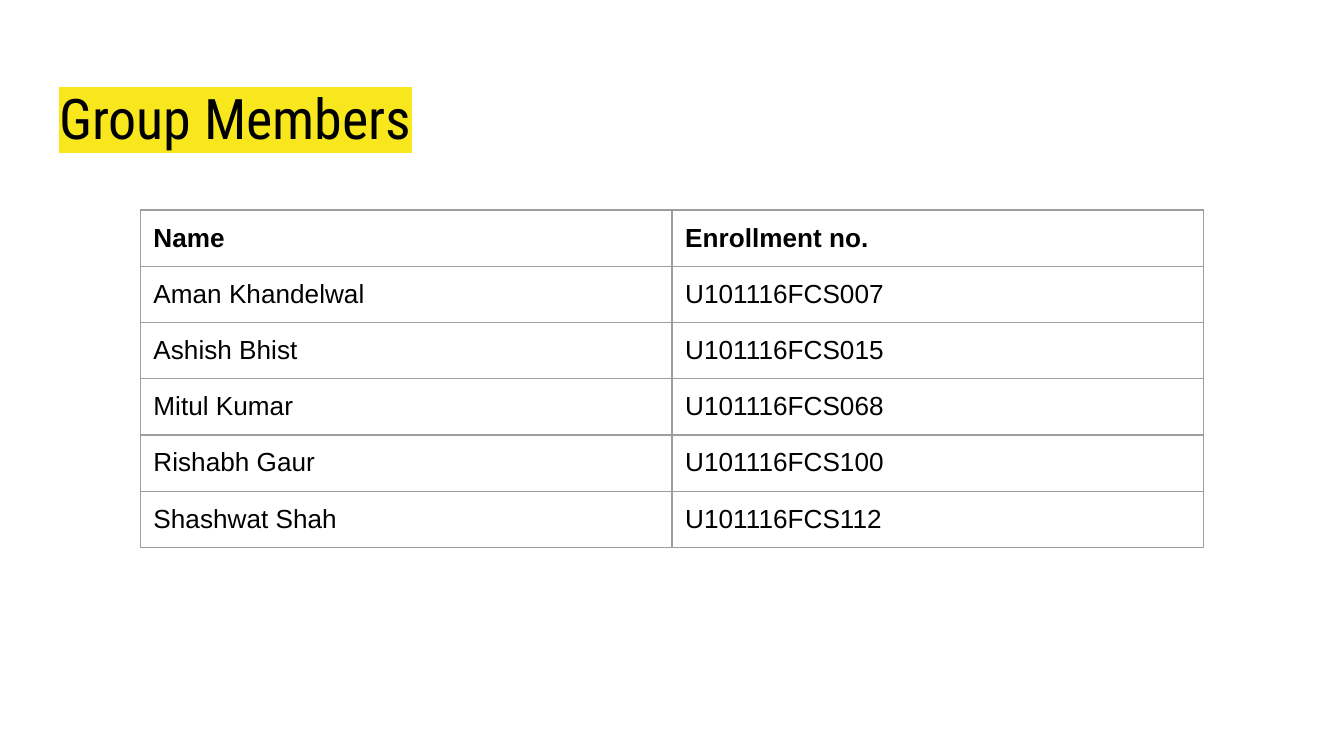
from lxml import etree
from pptx import Presentation
from pptx import util as u
from pptx.dml.color import RGBColor
from pptx.enum import text
from pptx.oxml.ns import qn

MEMBERS = [
    ("Name", "Enrollment no."),
    ("Aman Khandelwal", "U101116FCS007"),
    ("Ashish Bhist", "U101116FCS015"),
    ("Mitul Kumar", "U101116FCS068"),
    ("Rishabh Gaur", "U101116FCS100"),
    ("Shashwat Shah", "U101116FCS112"),
]


def rgb(value):
    """Turn a hex string into a colour."""
    return RGBColor.from_string(value)


def format_run(r, font, size, bold=False):
    """Set the font, size, weight and black colour of a run."""
    r.font.name, r.font.size, r.font.bold = font, u.Pt(size), bold
    r.font.color.rgb = rgb("000000")


def highlight(r, color):
    """Put a marker colour behind a coloured run."""
    fill = r.font._element.find(qn("a:solidFill"))
    mark = etree.Element(qn("a:highlight"))
    etree.SubElement(mark, qn("a:srgbClr"), val=str(rgb(color)))
    fill.addnext(mark)


def set_borders(cell, color, width):
    """Draw a solid line on all four sides of a cell."""
    tcPr = cell._tc.get_or_add_tcPr()
    for i, side in enumerate(("lnL", "lnR", "lnT", "lnB")):
        ln = etree.Element(qn(f"a:{side}"), w=str(u.Pt(width)))
        fill = etree.SubElement(ln, qn("a:solidFill"))
        etree.SubElement(fill, qn("a:srgbClr"), val=str(rgb(color)))
        tcPr.insert(i, ln)


def add_title(s, title, x, y, w, h):
    """Place the highlighted slide title in the given box."""
    sp = s.shapes.title
    sp.left, sp.top, sp.width, sp.height = x, y, w, h
    tf = sp.text_frame
    tf.text = title
    tf.word_wrap, tf.auto_size = True, text.MSO_AUTO_SIZE.NONE
    tf.vertical_anchor = text.MSO_ANCHOR.TOP
    tf.margin_left = tf.margin_right = tf.margin_bottom = u.Cm(0.25)
    tf.margin_top = u.Cm(0.33)
    p = tf.paragraphs[0]
    p.alignment = text.PP_ALIGN.LEFT
    format_run(p.runs[0], "Roboto Condensed", 30)
    highlight(p.runs[0], "F8E71C")


def add_member_table(s, rows, x, y, w, h):
    """Fill the given box with a ruled table headed by a bold row."""
    table = s.shapes.add_table(len(rows), len(rows[0]), x, y, w, h).table
    table.horz_banding = False
    for i, row in enumerate(rows):
        for j, value in enumerate(row):
            cell = table.cell(i, j)
            cell.text = value
            cell.margin_left = cell.margin_right = u.Cm(0.25)
            cell.margin_top = cell.margin_bottom = u.Cm(0.25)
            cell.fill.background()
            set_borders(cell, "9E9E9E", 0.75)
            format_run(cell.text_frame.paragraphs[0].runs[0], "Arial", 14, bold=i == 0)


def main():
    """Build and save the group members slide."""
    prs = Presentation()
    prs.slide_width, prs.slide_height = u.Cm(25.4), u.Cm(14.29)
    s = prs.slides.add_slide(prs.slide_layouts[5])
    add_title(s, "Group Members", u.Cm(0.87), u.Cm(1.24), u.Cm(23.67), u.Cm(1.59))
    add_member_table(s, MEMBERS, u.Cm(2.65), u.Cm(3.97), u.Cm(20.1), u.Cm(6.38))
    prs.save("out.pptx")


if __name__ == "__main__":
    main()
